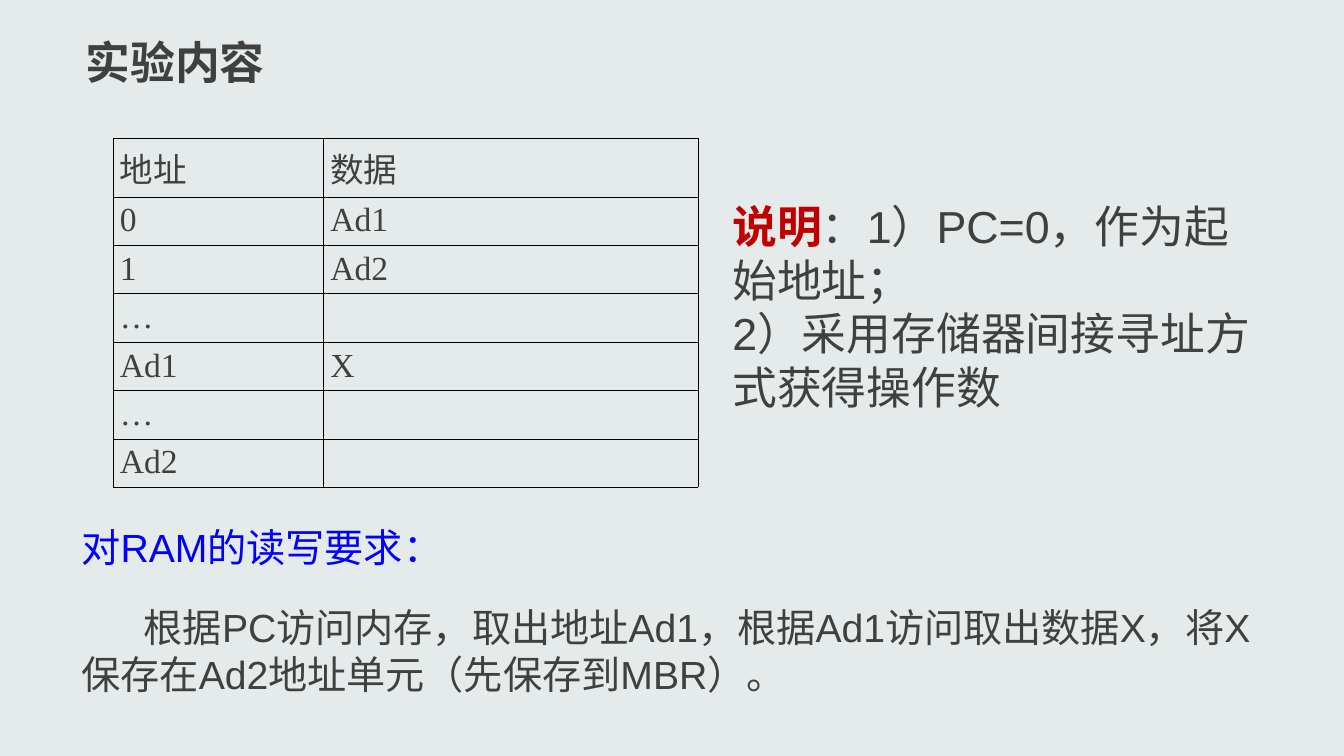
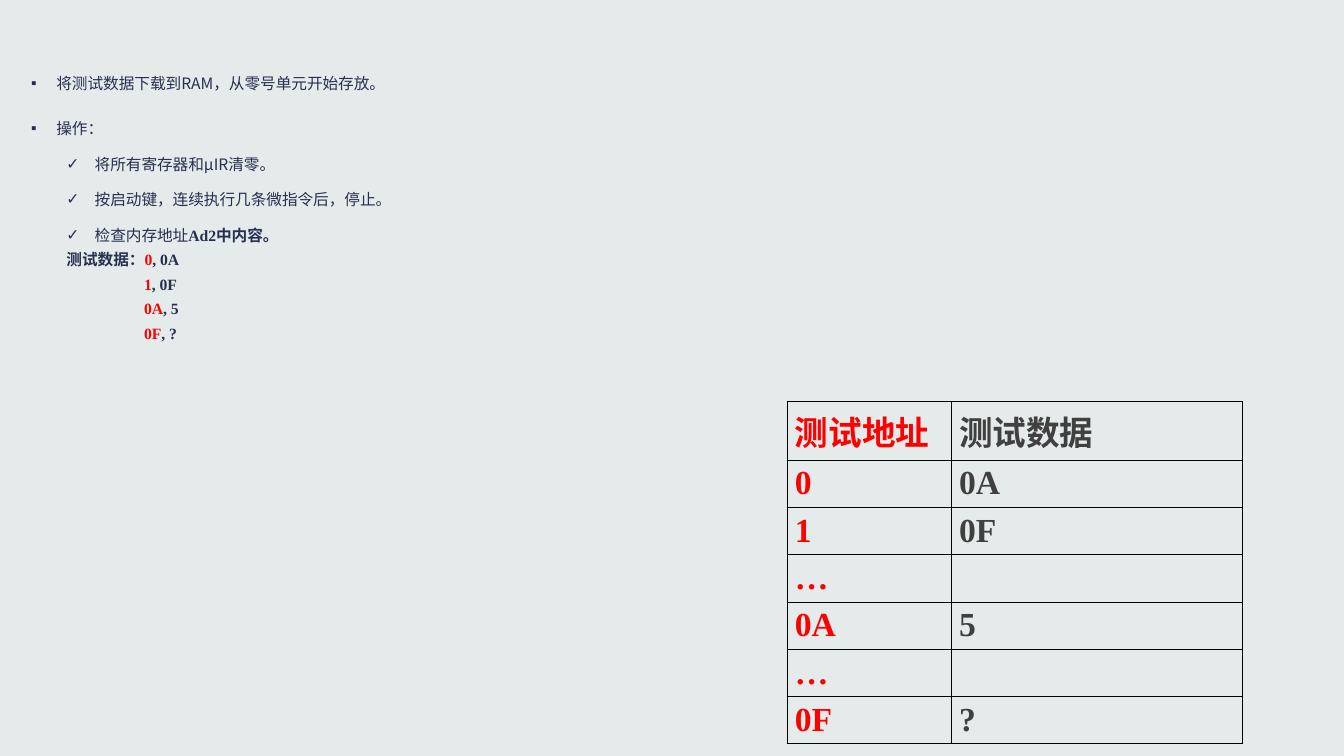
from lxml import etree
from pptx import Presentation
from pptx.dml.color import RGBColor
from pptx.enum import text
from pptx.oxml import ns
from pptx.util import Inches, Pt

INK, NAVY, RED, BRIGHT_RED = "404040", "263050", "C00000", "FF0000"
BLUE, BLACK, PAPER = "0000FF", "000000", "E5EAEA"
SANS, SERIF, CJK = "Arial", "Times New Roman", "Noto Sans CJK SC"


def color(value):
    """Turn a hex string into a colour."""
    return RGBColor.from_string(value)


def style(font, size, name, ink, bold=False):
    """Set the size, face, colour and weight of a font."""
    font.size, font.name, font.bold = Pt(size), name, bold
    font.color.rgb = color(ink)


def add_span(para, words, size, name, ink, bold=False):
    """Add one formatted run to a paragraph."""
    span = para.add_run()
    span.text = words
    style(span.font, size, name, ink, bold)


def place(shape, box):
    """Move a shape to a box and prepare its text frame."""
    shape.left, shape.top, shape.width, shape.height = map(Inches, box)
    frame = shape.text_frame
    frame.word_wrap = True
    frame.auto_size = text.MSO_AUTO_SIZE.NONE
    frame.vertical_anchor = text.MSO_ANCHOR.TOP
    return frame


def set_paragraph(para, margin=0, indent=0, bullet=None, before=0):
    """Set the indents, bullet and space before of a paragraph."""
    props = para._p.get_or_add_pPr()
    props.set("marL", str(Inches(margin)))
    props.set("indent", str(Inches(indent)))
    if bullet:
        tint = etree.SubElement(props, ns.qn("a:buClr"))
        etree.SubElement(tint, ns.qn("a:srgbClr"), val=NAVY)
        etree.SubElement(props, ns.qn("a:buChar"), char=bullet)
    else:
        etree.SubElement(props, ns.qn("a:buNone"))
    para.alignment = text.PP_ALIGN.LEFT
    para.space_before = Pt(before)


def add_paragraph(frame, first):
    """Return the first paragraph of a frame or a new one."""
    return frame.paragraphs[0] if first else frame.add_paragraph()


def draw_border(cell):
    """Draw thin lines on the four sides of a cell."""
    props = cell._tc.get_or_add_tcPr()
    for side in ("a:lnL", "a:lnR", "a:lnT", "a:lnB"):
        line = etree.SubElement(props, ns.qn(side), w=str(Pt(0.45)))
        fill = etree.SubElement(line, ns.qn("a:solidFill"))
        etree.SubElement(fill, ns.qn("a:srgbClr"), val=BLACK)


def add_memory_table(page, box, widths, heights, rows, inks, inset, bold=False):
    """Place a two-column table of addresses and data."""
    table = page.shapes.add_table(len(rows), len(widths), *map(Inches, box)).table
    table.first_row = table.horz_banding = False
    for column, width in zip(table.columns, widths):
        column.width = Inches(width)
    for row, height, entries in zip(table.rows, heights, rows):
        row.height = Inches(height)
        for cell, words, ink in zip(row.cells, entries, inks):
            draw_border(cell)
            cell.fill.background()
            cell.margin_left = cell.margin_right = Inches(inset)
            para = cell.text_frame.paragraphs[0]
            para.alignment = text.PP_ALIGN.JUSTIFY
            if words:
                para.text = words
                style(para.runs[0].font, 24, SERIF, ink, bold)


def add_explanation(page, box):
    """Place the explanation beside the table."""
    frame = place(page.shapes.add_textbox(0, 0, 0, 0), box)
    para = frame.paragraphs[0]
    add_span(para, "说明", 32, SANS, RED, True)
    add_span(para, "：1）PC=0，作为起始地址；", 32, SANS, INK)
    add_span(frame.add_paragraph(), "2）采用存储器间接寻址方式获得操作数", 32, SANS, INK)


def add_requirement(page, box):
    """Place the requirement for reading and writing memory."""
    frame = place(page.shapes.add_textbox(0, 0, 0, 0), box)
    lines = [
        ("对RAM的读写要求：", BLUE, 0),
        ("根据PC访问内存，取出地址Ad1，根据Ad1访问取出数据X，"
         "将X保存在Ad2地址单元（先保存到MBR）。", INK, 0.62),
    ]
    for index, (words, ink, indent) in enumerate(lines):
        para = add_paragraph(frame, index == 0)
        set_paragraph(para, indent=indent, before=12 if index else 0)
        para.space_after = Pt(12)
        add_span(para, words, 28, SANS, ink)


def add_steps(frame):
    """Fill the body with the test steps and the test data."""
    steps = [
        (0, "将测试数据下载到RAM，从零号单元开始存放。", ""),
        (0, "操作：", ""),
        (1, "将所有寄存器和μIR清零。", ""),
        (1, "按启动键，连续执行几条微指令后，停止。", ""),
        (1, "检查内存地址", "Ad2中内容。"),
    ]
    levels = [(0.3, -0.25, "▪", 14.4), (0.68, -0.28, "✓", 8)]
    for index, (level, words, strong) in enumerate(steps):
        margin, indent, bullet, before = levels[level]
        para = add_paragraph(frame, index == 0)
        para.level = level
        set_paragraph(para, margin, indent, bullet, before if index else 0)
        add_span(para, words, 11.2, CJK, NAVY)
        if strong:
            add_span(para, strong, 11.2, SERIF, NAVY, True)
    data = [("0", "0A"), ("1", "0F"), ("0A", "5"), ("0F", "?")]
    for index, (address, value) in enumerate(data):
        para = frame.add_paragraph()
        para.level = 1
        set_paragraph(para, 1.17 if index else 0.4)
        if index == 0:
            add_span(para, "测试数据：", 11.2, SERIF, NAVY, True)
        add_span(para, address, 11.2, SERIF, BRIGHT_RED, True)
        add_span(para, ", " + value, 11.2, SERIF, NAVY, True)
    for para in frame.paragraphs:
        para.line_spacing = 1.3


def build_content_page(deck):
    """Build the page with the memory layout and its requirement."""
    page = deck.slides.add_slide(deck.slide_layouts[5])
    frame = place(page.shapes.title, (0.75, 0.29, 2.79, 0.64))
    frame.text = "实验内容"
    frame.paragraphs[0].alignment = text.PP_ALIGN.LEFT
    style(frame.paragraphs[0].runs[0].font, 32, SANS, INK, True)
    rows = [("地址", "数据"), ("0", "Ad1"), ("1", "Ad2"), ("…", ""),
            ("Ad1", "X"), ("…", ""), ("Ad2", "")]
    add_memory_table(page, (1.12, 1.37, 5.81, 3.33), (2.09, 3.72),
                     [0.48] * 7, rows, (INK, INK), 0.07)
    add_explanation(page, (7.17, 1.92, 5.46, 2.24))
    add_requirement(page, (0.71, 5.14, 11.9, 1.84))


def build_test_page(deck):
    """Build the page with the test steps and the test table."""
    page = deck.slides.add_slide(deck.slide_layouts[1])
    title = page.shapes.title
    title._element.getparent().remove(title._element)
    add_steps(place(page.placeholders[1], (0.16, 0.63, 9.67, 3.2)))
    rows = [("测试地址", "测试数据"), ("0", "0A"), ("1", "0F"), ("…", ""),
            ("0A", "5"), ("…", ""), ("0F", "?")]
    add_memory_table(page, (7.81, 3.98, 4.52, 2.98), (1.63, 2.89),
                     (0.47, 0.45, 0.41, 0.45, 0.4, 0.4, 0.4), rows,
                     (BRIGHT_RED, INK), 0.08, True)


def main():
    """Build the deck and save it."""
    deck = Presentation()
    deck.slide_width, deck.slide_height = Inches(13.34), Inches(7.5)
    fill = deck.slide_master.background.fill
    fill.solid()
    fill.fore_color.rgb = color(PAPER)
    build_content_page(deck)
    build_test_page(deck)
    deck.save("out.pptx")


if __name__ == "__main__":
    main()
